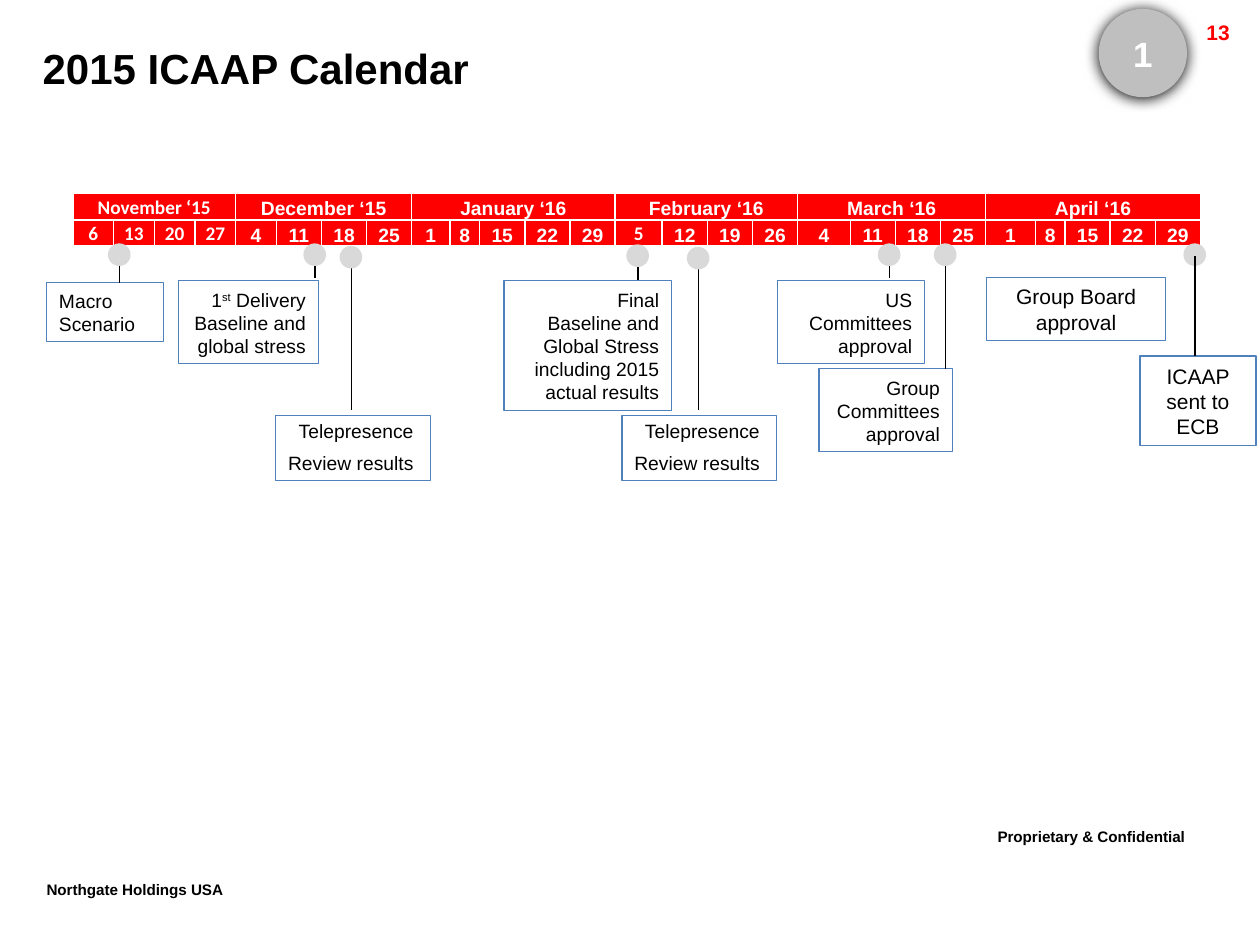
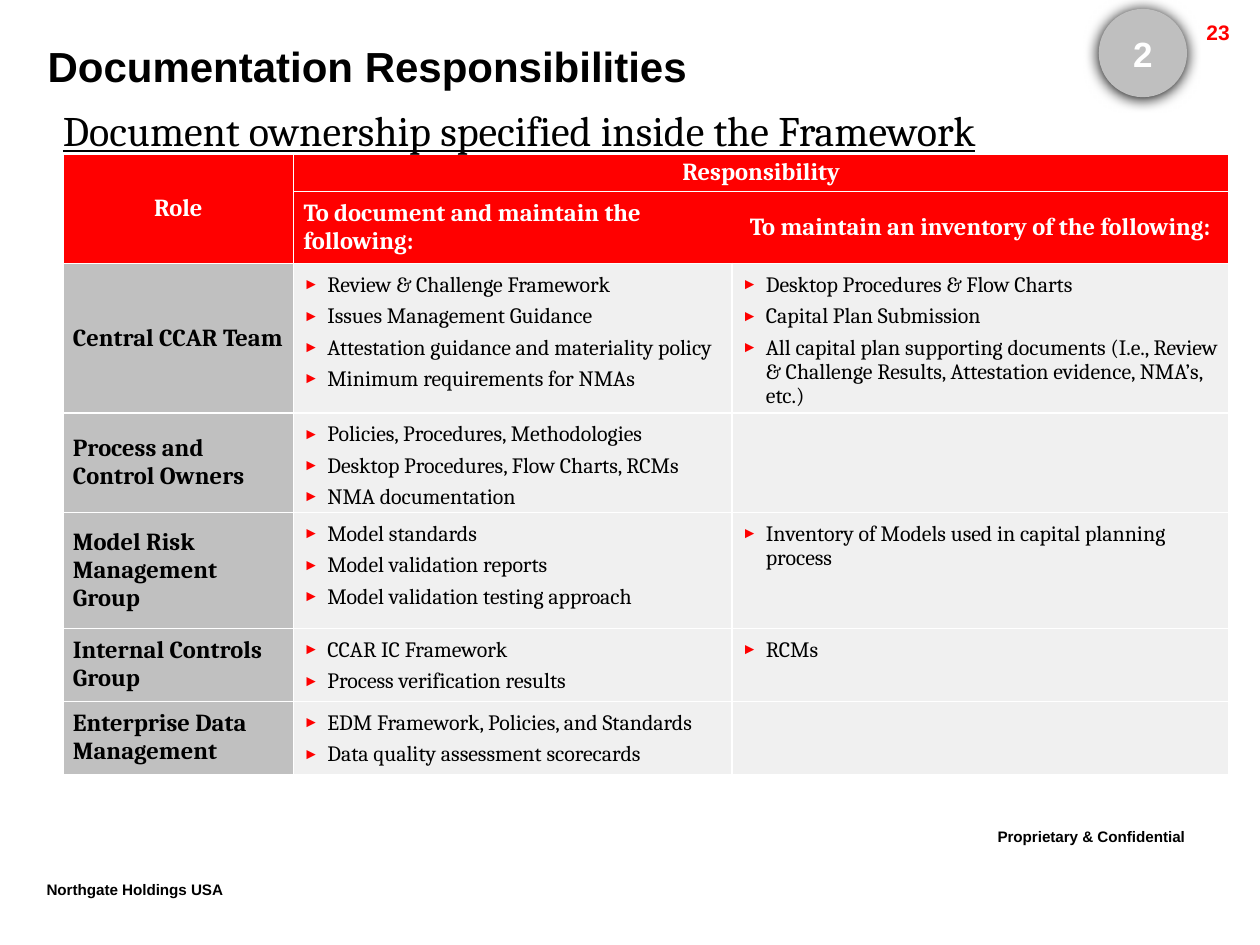
import dataclasses

import lxml.etree
import pptx
import pptx.dml.color
import pptx.enum.shapes
import pptx.enum.text
import pptx.oxml.ns
import pptx.util

Cm = pptx.util.Cm
Pt = pptx.util.Pt
ALIGN = pptx.enum.text.PP_ALIGN
ANCHOR = pptx.enum.text.MSO_ANCHOR
SHAPE = pptx.enum.shapes.MSO_SHAPE
qn = pptx.oxml.ns.qn

COLORS = {
    "text": "000000", "light": "FFFFFF", "accent": "FF0000", "role": "C0C0C0",
    "body": "F0F0F0", "badge": "BFBFBF", "marker": "D9D9D9", "outline": "4F81BD",
}
DEFAULT_INSETS = (0.25, 0.13, 0.25, 0.13)
REVIEW_INSETS = (0.05, 0.13, 0.34, 0.13)
NO_INSETS = (0, 0, 0, 0)
DAY_INSETS = (0.03, 0.03, 0.03, 0)
HEAD_INSETS = (0.2, 0, 0.2, 0)
LIST_INSETS = (0.2, 0.2, 0.2, 0)
WEEK = 0.91

MONTHS = [
    ("November ‘15", (6, 13, 20, 27), (0.82,) * 4, 4),
    ("December ‘15", (4, 11, 18, 25), (0.82,) + (WEEK,) * 3, 0),
    ("January ‘16", (1, 8, 15, 22, 29), (0.77, 0.6) + (WEEK,) * 3, 0),
    ("February ‘16", (5, 12, 19, 26), (0.95,) + (WEEK,) * 3, 1),
    ("March ‘16", (4, 11, 18, 25), (1.06,) + (WEEK,) * 3, 0),
    ("April ‘16", (1, 8, 15, 22, 29), (1, 0.6) + (WEEK,) * 3, 0),
]

RESPONSIBILITIES = [
    ("Central CCAR Team", 2.57,
     ["Review & Challenge Framework", "Issues Management Guidance",
      "Attestation guidance and materiality policy", "Minimum requirements for NMAs"],
     ["Desktop Procedures & Flow Charts", "Capital Plan Submission",
      "All capital plan supporting documents (I.e., Review & Challenge Results, "
      "Attestation evidence, NMA’s, etc.)"]),
    ("Process and Control Owners", 1.88,
     ["Policies, Procedures, Methodologies", "Desktop Procedures, Flow Charts, RCMs",
      "NMA documentation"], []),
    ("Model Risk Management Group", 2.34,
     ["Model standards", "Model validation reports", "Model validation testing approach"],
     ["Inventory of Models used in capital planning process"]),
    ("Internal Controls Group", 1.47,
     ["CCAR IC Framework", "Process verification results"], ["RCMs"]),
    ("Enterprise Data Management", 1.47,
     ["EDM Framework, Policies, and Standards", "Data quality assessment scorecards"], []),
]


@dataclasses.dataclass
class Milestone:
    """A labelled box, and the date marker and stem that lead to it."""
    box: tuple
    lines: list
    marker: tuple = ()
    align: int = ALIGN.RIGHT
    size: float = 11
    gap: float = 0
    spacing: float = 0
    insets: tuple = DEFAULT_INSETS
    stem_in_front: bool = False


def review(left, marker):
    """Return a telepresence review milestone."""
    return Milestone((left, 4.47, 3.12, 1.32), ["Telepresence", "Review results"], marker,
                     gap=0.1, spacing=5, insets=REVIEW_INSETS)


MILESTONES = [
    Milestone((-0.53, 1.8, 2.36, 1.19), ["Macro Scenario"], (0.94, 1.02), ALIGN.LEFT),
    Milestone((2.13, 1.75, 2.82, 1.68),
              [[("1", 0), ("st", 30), (" Delivery", 0)], "Baseline and global stress"],
              (4.88, 1.02), gap=0.05),
    review(4.09, (5.61, 1.07)),
    Milestone((8.69, 1.75, 3.38, 2.62),
              ["Final", "Baseline and Global Stress including 2015 actual results"],
              (11.39, 1.04)),
    review(11.07, (12.61, 1.09)),
    Milestone((14.2, 1.75, 2.97, 1.68), ["US Committees approval"], (16.46, 1.02), gap=0.05),
    Milestone((15.04, 3.53, 2.69, 1.68), ["Group Committees approval"], (17.59, 1.02)),
    Milestone((18.42, 1.7, 3.61, 1.27), ["Group Board approval"],
              align=ALIGN.CENTER, size=12),
    Milestone((21.51, 3.28, 2.34, 1.8), ["ICAAP sent to ECB"], (22.62, 1.02),
              ALIGN.CENTER, 12, stem_in_front=True),
]


def color(name):
    """Return a named colour."""
    return pptx.dml.color.RGBColor.from_string(COLORS[name])


def place(box):
    """Turn a box in centimetres into lengths."""
    return [Cm(value) for value in box]


def write(holder, lines, size, font="Arial", ink="text", bold=False, underline=False,
          align=ALIGN.LEFT, baseline=0, spacing=0):
    """Write one paragraph for each line; a line is a string or (text, baseline) pairs."""
    for index, line in enumerate(lines):
        para = holder.paragraphs[0] if index == 0 else holder.add_paragraph()
        para.alignment = align
        if index and spacing:
            para.space_before = Pt(spacing)
        for text, raised in [(line, baseline)] if isinstance(line, str) else line:
            span = para.add_run()
            span.text = text
            span.font.size, span.font.name = Pt(size), font
            span.font.bold, span.font.underline = bold, underline
            span.font.color.rgb = color(ink)
            if raised:
                span.font._element.set("baseline", str(raised * 1000))


def set_insets(holder, insets):
    """Set the four inner margins of a text frame or a cell."""
    (holder.margin_left, holder.margin_top,
     holder.margin_right, holder.margin_bottom) = place(insets)


def add_label(page, box, text, size, insets=DEFAULT_INSETS, wrap=True, anchor=ANCHOR.TOP,
              **style):
    """Add a text box."""
    frame = page.shapes.add_textbox(*place(box)).text_frame
    frame.word_wrap, frame.vertical_anchor = wrap, anchor
    set_insets(frame, insets)
    write(frame, [text], size, **style)


def add_outline(page, kind, box, fill=None, line=None):
    """Add a preset shape without a shadow."""
    shape = page.shapes.add_shape(kind, *place(box))
    shape.shadow.inherit = False
    if fill:
        shape.fill.solid()
        shape.fill.fore_color.rgb = color(fill)
    else:
        shape.fill.background()
    if line:
        shape.line.color.rgb = color(line)
        shape.line.width = Pt(0.75)
    else:
        shape.line.fill.background()
    return shape


def add_badge(page, box, number):
    """Add the round section badge with its soft shadow."""
    left, top, width, height = box
    disc = add_outline(page, SHAPE.OVAL, box, "badge")
    effects = disc._element.spPr.find(qn("a:effectLst"))
    shadow = lxml.etree.SubElement(effects, qn("a:outerShdw"), blurRad=str(Pt(8.5)),
                                   dist=str(Pt(1)), dir="5400000", algn="t", rotWithShape="0")
    lxml.etree.SubElement(shadow, qn("a:srgbClr"), val=COLORS["text"])
    add_label(page, (left, top + 0.33, width, height - 0.66), number, 20, anchor=ANCHOR.MIDDLE,
              ink="light", bold=True, align=ALIGN.CENTER)


def add_page(deck, title, title_box, number, section):
    """Add a slide with its title, badge, page number and footers."""
    page = deck.slides.add_slide(deck.slide_layouts[6])
    add_label(page, (19.86, 16.48, 5.54, 0.89), "Proprietary & Confidential", 15,
              bold=True, baseline=30)
    add_label(page, (0.69, 17.55, 4.85, 0.89), "Northgate Holdings USA", 15, wrap=False,
              bold=True, baseline=30)
    add_label(page, (22.63, 0.26, 2.41, 0.61), number, 12, ink="accent", bold=True,
              align=ALIGN.RIGHT)
    add_label(page, title_box, title, 24, NO_INSETS, bold=True)
    add_badge(page, (22.15, 0.18, 1.78, 1.78), section)
    return page


def add_grid(page, box, widths, heights):
    """Add a table without style bands."""
    grid = page.shapes.add_table(len(heights), len(widths), *place(box)).table
    grid.first_row = grid.horz_banding = False
    for column, width in zip(grid.columns, widths):
        column.width = Cm(width)
    for row, height in zip(grid.rows, heights):
        row.height = Cm(height)
    return grid


def fill_cell(cell, lines, fill, insets, anchor, size, sides="LRTB", **style):
    """Fill a cell, draw white borders on the given sides and write its text."""
    cell.fill.solid()
    cell.fill.fore_color.rgb = color(fill)
    properties = cell._tc.get_or_add_tcPr()
    for index, side in enumerate("LRTB"):
        border = lxml.etree.Element(qn("a:ln" + side), w=str(Pt(1)))
        if side in sides:
            paint = lxml.etree.SubElement(border, qn("a:solidFill"))
            lxml.etree.SubElement(paint, qn("a:srgbClr"), val=COLORS["light"])
        else:
            lxml.etree.SubElement(border, qn("a:noFill"))
        properties.insert(index, border)
    set_insets(cell, insets)
    cell.vertical_anchor = anchor
    write(cell.text_frame, lines, size, **style)


def add_bullets(cell):
    """Give each paragraph of a cell the red arrow bullet."""
    for para in cell.text_frame.paragraphs:
        para.line_spacing, para.space_after = 0.95, Pt(4.2)
        properties = para._p.get_or_add_pPr()
        properties.set("marL", str(Cm(0.48)))
        properties.set("indent", str(-Cm(0.48)))
        paint = lxml.etree.SubElement(properties, qn("a:buClr"))
        lxml.etree.SubElement(paint, qn("a:srgbClr"), val=COLORS["accent"])
        lxml.etree.SubElement(properties, qn("a:buSzPct"), val="70000")
        lxml.etree.SubElement(properties, qn("a:buFont"), typeface="Arial")
        lxml.etree.SubElement(properties, qn("a:buChar"), char="►")


def add_calendar(page, box):
    """Add the two-row table of months and weeks."""
    widths = [width for month in MONTHS for width in month[2]]
    grid = add_grid(page, box, widths, [box[3] / 2] * 2)
    style = dict(fill="accent", insets=DAY_INSETS, anchor=ANCHOR.BOTTOM, size=11,
                 ink="light", bold=True, align=ALIGN.CENTER)
    start = 0
    for label, days, _, calibri_days in MONTHS:
        last = start + len(days) - 1
        grid.cell(0, start).merge(grid.cell(0, last))
        fill_cell(grid.cell(0, start), [label],
                  font="Calibri" if calibri_days == len(days) else "Arial", **style)
        for index, day in enumerate(days):
            fill_cell(grid.cell(1, start + index), [str(day)],
                      font="Calibri" if index < calibri_days else "Arial", **style)
        start = last + 1


def add_stem(page, x, top, bottom):
    """Add a thin vertical line."""
    stem = page.shapes.add_connector(pptx.enum.shapes.MSO_CONNECTOR.STRAIGHT,
                                     *place((x, top, x, bottom)))
    stem.line.color.rgb = color("text")
    stem.line.width = Pt(0.75)
    lxml.etree.SubElement(stem._element.spPr, qn("a:effectLst"))


def add_milestone(page, origin, milestone):
    """Add a milestone relative to the calendar's corner."""
    left, top = origin
    x, y, width, height = milestone.box
    label = add_outline(page, SHAPE.RECTANGLE, (left + x, top + y, width, height),
                        line="outline")
    frame = label.text_frame
    frame.word_wrap, frame.vertical_anchor = True, ANCHOR.BOTTOM
    set_insets(frame, milestone.insets)
    write(frame, milestone.lines, milestone.size, align=milestone.align,
          spacing=milestone.spacing)
    if milestone.marker:
        center, marker_top = left + milestone.marker[0], top + milestone.marker[1]
        stem = (center, marker_top + 0.24, top + y - milestone.gap)
        if not milestone.stem_in_front:
            add_stem(page, *stem)
        add_outline(page, SHAPE.OVAL, (center - 0.22, marker_top, 0.43, 0.43),
                    "marker", "marker")
        if milestone.stem_in_front:
            add_stem(page, *stem)


def add_responsibilities(page, box):
    """Add the table of roles and the documents each one owns."""
    heights = [0.76, 1.45] + [row[1] for row in RESPONSIBILITIES]
    grid = add_grid(page, box, (4.65, 8.84, box[2] - 13.49), heights)
    grid.cell(0, 0).merge(grid.cell(1, 0))
    grid.cell(0, 1).merge(grid.cell(0, 2))
    head = dict(insets=HEAD_INSETS, anchor=ANCHOR.MIDDLE, size=14, font="Cambria", bold=True)
    for row, column, text, sides, align in (
            (0, 0, "Role", "LRTB", ALIGN.CENTER),
            (0, 1, "Responsibility", "LRTB", ALIGN.CENTER),
            (1, 1, "To document and maintain the following:", "LTB", ALIGN.LEFT),
            (1, 2, "To maintain an inventory of the following:", "RTB", ALIGN.CENTER)):
        fill_cell(grid.cell(row, column), [text], "accent", sides=sides, ink="light",
                  align=align, **head)
    for row, (role, _, *documents) in enumerate(RESPONSIBILITIES, 2):
        fill_cell(grid.cell(row, 0), [role], "role", **head)
        for column, lines in enumerate(documents, 1):
            cell = grid.cell(row, column)
            fill_cell(cell, lines, "body", LIST_INSETS, ANCHOR.TOP, 12.5, font="Cambria")
            if lines:
                add_bullets(cell)


def main():
    """Build and save the deck."""
    deck = pptx.Presentation()
    deck.slide_width, deck.slide_height = Cm(25.4), Cm(19.05)

    page = add_page(deck, "2015 ICAAP Calendar", (0.86, 0.86, 20, 1.27), "13", "1")
    calendar = (1.47, 3.9, 22.73, 1.06)
    add_calendar(page, calendar)
    for milestone in MILESTONES:
        add_milestone(page, calendar[:2], milestone)

    page = add_page(deck, "Documentation Responsibilities", (0.96, 0.82, 20, 1.27), "23", "2")
    add_responsibilities(page, (1.27, 3.1, 23.5, 12.62))
    add_label(page, (1.02, 1.98, 23.06, 1.27),
              "Document ownership specified inside the Framework", 24,
              font="Cambria", underline=True)
    deck.save("out.pptx")


if __name__ == "__main__":
    main()
